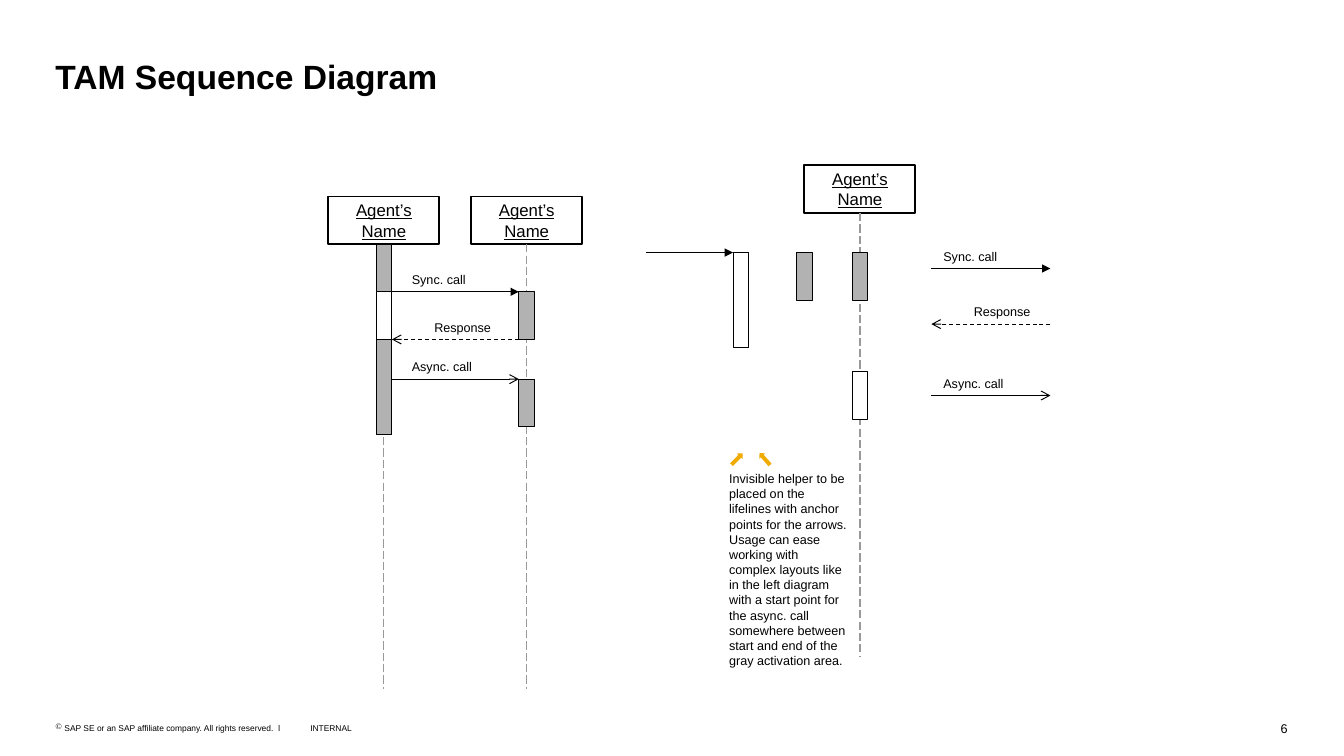
import pptx
import pptx.util
import pptx.dml.color
import pptx.enum.dml
import pptx.enum.shapes
import pptx.enum.text
import pptx.oxml
import pptx.oxml.ns

Inches = pptx.util.Inches
Pt = pptx.util.Pt
RGBColor = pptx.dml.color.RGBColor
Shapes = pptx.enum.shapes.MSO_SHAPE
Dash = pptx.enum.dml.MSO_LINE
Align = pptx.enum.text.PP_ALIGN
Anchor = pptx.enum.text.MSO_ANCHOR

BLACK = RGBColor(0, 0, 0)
WHITE = RGBColor(255, 255, 255)
GRAY = RGBColor(0xB2, 0xB2, 0xB2)
LIFELINE = RGBColor(0x99, 0x99, 0x99)
AMBER = RGBColor(0xF0, 0xAB, 0)

UNIT = 0.1575
AGENT_WIDTH, AGENT_HEIGHT = 7, 3
LABEL_WIDTH, LABEL_HEIGHT = 5.5, 1.5
NOTE = ("Invisible helper to be placed on the lifelines with anchor points for "
        "the arrows. Usage can ease working with complex layouts like in the "
        "left diagram with a start point for the async. call somewhere between "
        "start and end of the gray activation area.")


def add_element(parent, tag, **attributes):
    element = pptx.oxml.parse_xml(f"<a:{tag} {pptx.oxml.ns.nsdecls('a')}/>")
    for name, value in attributes.items():
        element.set(name, value)
    parent.append(element)


def write(shape, text, size, align=Align.LEFT, anchor=Anchor.TOP, inset=0.04,
          wrap=True, bold=False, underline=False):
    frame = shape.text_frame
    frame.word_wrap = wrap
    frame.vertical_anchor = anchor
    frame.margin_left = frame.margin_right = Inches(inset)
    frame.margin_top = frame.margin_bottom = Inches(inset)
    paragraph = frame.paragraphs[0]
    paragraph.alignment = align
    run = paragraph.add_run()
    run.text = text
    run.font.name = "Arial"
    run.font.size = Pt(size)
    run.font.bold = bold
    run.font.underline = underline
    run.font.color.rgb = BLACK
    return paragraph


class Diagram:
    def __init__(self, slide, left, top):
        self.shapes = slide.shapes
        self.left, self.top = left, top

    def point(self, column, row):
        return Inches(self.left + column * UNIT), Inches(self.top + row * UNIT)

    def box(self, column, row, width, height):
        return (*self.point(column, row), Inches(width * UNIT), Inches(height * UNIT))

    def shape(self, kind, box, fill, line_width=None):
        shape = self.shapes.add_shape(kind, *self.box(*box))
        shape.shadow.inherit = False
        shape.fill.solid()
        shape.fill.fore_color.rgb = fill
        if line_width:
            shape.line.color.rgb = BLACK
            shape.line.width = Pt(line_width)
        else:
            shape.line.fill.background()
        return shape

    def line(self, start, end, color, width, dash=None, head=None):
        connector = self.shapes.add_connector(
            pptx.enum.shapes.MSO_CONNECTOR.STRAIGHT, *self.point(*start), *self.point(*end))
        connector.line.color.rgb = color
        connector.line.width = Pt(width)
        if dash:
            connector.line.dash_style = dash
        if head:
            add_element(connector.line._get_or_add_ln(), "tailEnd", type=head)
        add_element(connector._element.spPr, "effectLst")
        return connector

    def agent(self, column, end_row):
        agent = self.shape(Shapes.RECTANGLE, (column, 0, AGENT_WIDTH, AGENT_HEIGHT), WHITE, 1.4)
        write(agent, "Agent’s Name", 12, Align.CENTER, Anchor.MIDDLE, underline=True)
        center = column + AGENT_WIDTH / 2
        lifeline = self.line((center, AGENT_HEIGHT), (center, end_row), LIFELINE, 0.75,
                             Dash.LONG_DASH)
        lifeline.begin_connect(agent, 2)

    def activation(self, column, row, height, fill=GRAY):
        self.shape(Shapes.RECTANGLE, (column, row, 1, height), fill, 0.7)

    def text(self, box, text, align=Align.LEFT):
        write(self.shapes.add_textbox(*self.box(*box)), text, 9, align)

    def message(self, start, end, row, head, label=None, label_column=0, response=False):
        self.line((start, row), (end, row), BLACK, 0.7, Dash.DASH if response else None, head)
        if label:
            self.text((label_column, row - LABEL_HEIGHT, LABEL_WIDTH, LABEL_HEIGHT), label,
                      Align.RIGHT if response else Align.LEFT)


def add_example(slide, left, top):
    diagram = Diagram(slide, left, top)
    for column in (0, 9):
        diagram.agent(column, 31)
    for column, row, height, fill in ((3, 3, 12, WHITE), (3, 3, 3, GRAY), (3, 9, 6, GRAY),
                                      (12, 6, 3, GRAY), (12, 11.5, 3, GRAY)):
        diagram.activation(column, row, height, fill)
    diagram.message(4, 12, 6, "triangle", "Sync. call", 5)
    diagram.message(12, 4, 9, "arrow", "Response", 5, response=True)
    diagram.message(4, 12, 11.5, "arrow", "Async. call", 5)


def add_building_blocks(slide, left, top):
    diagram = Diagram(slide, left, top)
    diagram.agent(10, 31)
    for column, row, height, fill in ((5.5, 5.5, 6, WHITE), (9.5, 5.5, 3, GRAY),
                                      (13, 5.5, 3, GRAY), (13, 13, 3, WHITE)):
        diagram.activation(column, row, height, fill)
    diagram.message(0, 5.5, 5.5, "triangle")
    diagram.message(18, 25.5, 6.5, "triangle", "Sync. call", 18.5)
    diagram.message(25.5, 18, 10, "arrow", "Response", 19, response=True)
    diagram.message(18, 25.5, 14.5, "arrow", "Async. call", 18.5)
    diagram.text((5, 19, 8, 13), NOTE)
    for column, rotation in ((5.5, 224.5), (7.25, 138.6)):
        pointer = diagram.shape(Shapes.DOWN_ARROW, (column, 18, 0.5, 1), AMBER)
        pointer.rotation = rotation


def add_title(slide, left, top, width, height):
    title = slide.shapes.title
    title.left, title.top, title.width, title.height = map(Inches, (left, top, width, height))
    write(title, "TAM Sequence Diagram", 24, inset=0, bold=True)


def add_footer(slide, left, top, width):
    def entry(offset, rise, entry_width, height, text, size, **style):
        box = slide.shapes.add_textbox(Inches(left + offset), Inches(top - rise),
                                       Inches(entry_width), Inches(height))
        return write(box, text, size, inset=0, **style)

    notice = entry(0, 0, 2.48, 0.1,
                   "SAP SE or an SAP affiliate company. All rights reserved.  ǀ", 6)
    properties = notice._p.get_or_add_pPr()
    properties.set("marL", str(Inches(0.09)))
    properties.set("indent", str(Inches(-0.09)))
    add_element(properties, "buChar", char="©")
    entry(2.53, 0, 0.42, 0.1, "INTERNAL", 6, wrap=False)
    entry(width - 0.15, 0.02, 0.15, 0.15, "6", 9, align=Align.RIGHT, wrap=False)


def main():
    presentation = pptx.Presentation()
    presentation.slide_width = Inches(13.34)
    presentation.slide_height = Inches(7.5)
    slide = presentation.slides.add_slide(presentation.slide_layouts[5])
    add_title(slide, 0.55, 0.55, 12.23, 0.4)
    add_example(slide, 3.26, 1.95)
    add_building_blocks(slide, 6.41, 1.64)
    add_footer(slide, 0.55, 7.17, 12.23)
    presentation.save("out.pptx")


if __name__ == "__main__":
    main()
